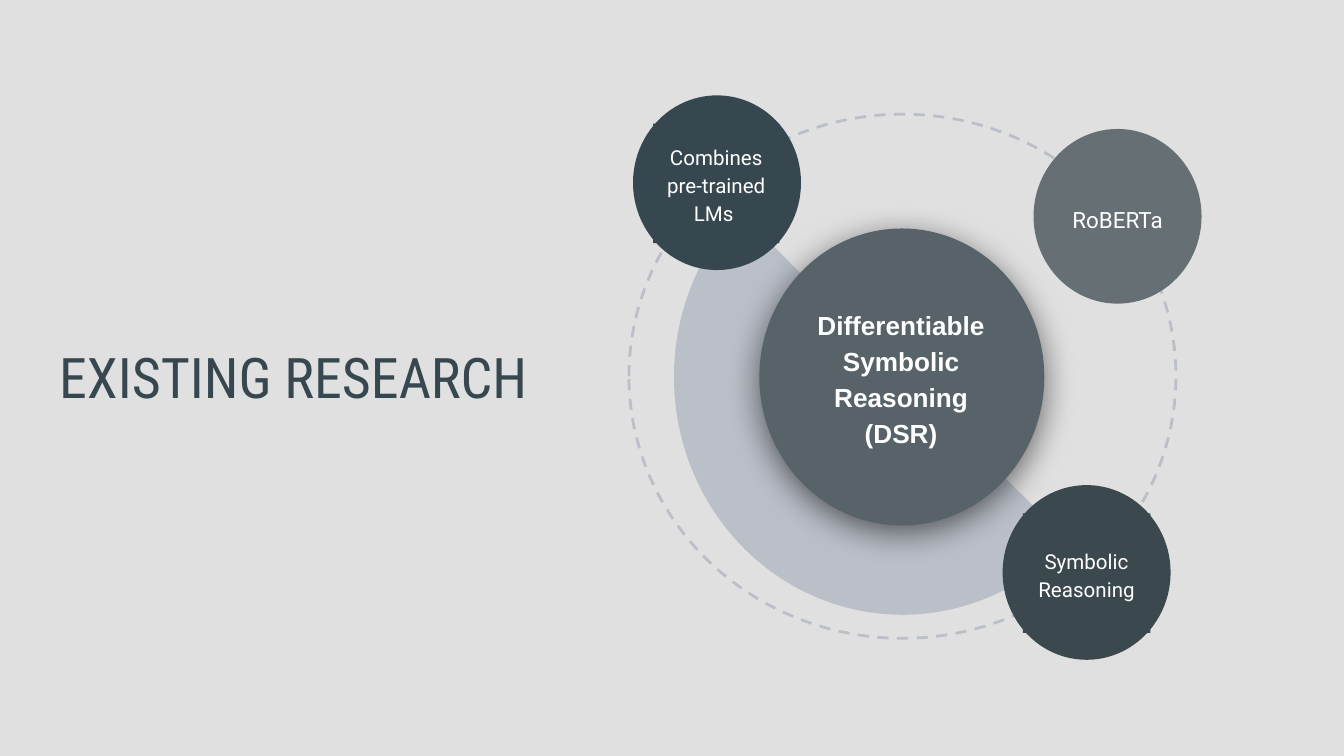
from dataclasses import dataclass

from lxml import etree
from pptx import Presentation
from pptx.dml.color import RGBColor
from pptx.enum.dml import MSO_LINE
from pptx.enum.shapes import MSO_SHAPE as Preset
from pptx.enum.text import MSO_ANCHOR as Anchor, MSO_AUTO_SIZE as AutoSize, PP_ALIGN as Align
from pptx.oxml.ns import qn
from pptx.shapes.autoshape import Shape
from pptx.slide import Slide
from pptx.text.text import TextFrame
from pptx.util import Inches, Pt

BACKGROUND = RGBColor(0xE0, 0xE0, 0xE0)
ORBIT_GREY = RGBColor(0xBA, 0xBF, 0xC8)
CORE_GREY = RGBColor(0x57, 0x63, 0x69)
SLATE = RGBColor(0x37, 0x47, 0x4F)
CHARCOAL = RGBColor(0x3B, 0x48, 0x4E)
STEEL = RGBColor(0x66, 0x6F, 0x73)
WHITE = RGBColor(0xFF, 0xFF, 0xFF)
SLIDE_WIDTH = 10
SLIDE_HEIGHT = SLIDE_WIDTH * 9 / 16
PIE_UNITS_PER_DEGREE = 0.6


@dataclass(frozen=True)
class Box:
    left: float
    top: float
    width: float
    height: float

    def lengths(self) -> tuple[Inches, ...]:
        return tuple(Inches(n) for n in (self.left, self.top, self.width, self.height))


@dataclass(frozen=True)
class Bubble:
    text: str
    circle: Box
    label: Box
    fill: RGBColor
    size: int
    font: str = "Roboto"
    bold: bool = False
    shadow: bool = False


BUBBLES = [
    Bubble("Differentiable Symbolic Reasoning (DSR)", Box(5.65, 1.7, 2.12, 2.21),
           Box(5.92, 2.3, 1.57, 1.01), CORE_GREY, 14, "Arial", bold=True, shadow=True),
    Bubble("Combines pre-trained LMs ", Box(4.71, 0.71, 1.25, 1.3),
           Box(4.86, 0.92, 0.94, 0.89), SLATE, 11),
    Bubble("Symbolic Reasoning", Box(7.46, 3.61, 1.25, 1.3),
           Box(7.61, 3.82, 0.95, 0.89), CHARCOAL, 11),
    Bubble("RoBERTa", Box(7.69, 0.96, 1.25, 1.3),
           Box(7.87, 1.17, 0.89, 0.89), STEEL, 12),
]


def add_plain(slide: Slide, preset: Preset, box: Box, fill: RGBColor | None) -> Shape:
    shape = slide.shapes.add_shape(preset, *box.lengths())
    shape.shadow.inherit = False
    shape.line.fill.background()
    if fill is None:
        shape.fill.background()
    else:
        shape.fill.solid()
        shape.fill.fore_color.rgb = fill
    return shape


def set_outline(shape: Shape, width: float) -> None:
    shape.line.color.rgb = ORBIT_GREY
    shape.line.width = Pt(width)


def add_shadow(shape: Shape) -> None:
    effects = shape.element.spPr.find(qn("a:effectLst"))
    outer = etree.SubElement(
        effects, qn("a:outerShdw"), blurRad=str(Pt(18)), dist=str(Pt(4)),
        dir=str(90 * 60000), algn="bl", rotWithShape="0")
    color = etree.SubElement(outer, qn("a:srgbClr"), val="000000")
    etree.SubElement(color, qn("a:alpha"), val="55000")


def set_text(frame: TextFrame, text: str, font: str, size: int,
             color: RGBColor, align: Align, anchor: Anchor) -> None:
    frame.word_wrap = True
    frame.vertical_anchor = anchor
    frame.margin_left = frame.margin_right = Inches(0.1)
    frame.margin_top = frame.margin_bottom = Inches(0.1)
    frame.text = text
    paragraph = frame.paragraphs[0]
    paragraph.alignment = align
    paragraph.font.name = font
    paragraph.font.size = Pt(size)
    paragraph.font.color.rgb = color


def add_bubble(slide: Slide, bubble: Bubble) -> None:
    circle = add_plain(slide, Preset.OVAL, bubble.circle, bubble.fill)
    if bubble.shadow:
        add_shadow(circle)
    label = add_plain(slide, Preset.RECTANGLE, bubble.label, bubble.fill)
    set_text(label.text_frame, bubble.text, bubble.font, bubble.size,
             WHITE, Align.CENTER, Anchor.MIDDLE)
    paragraph = label.text_frame.paragraphs[0]
    paragraph.line_spacing = 1.15
    paragraph.font.bold = bubble.bold


def add_orbit(slide: Slide) -> None:
    orbit = add_plain(slide, Preset.OVAL, Box(4.68, 0.85, 4.07, 3.9), None)
    set_outline(orbit, 1.5)
    orbit.line.dash_style = MSO_LINE.DASH
    sector = add_plain(slide, Preset.PIE, Box(5.02, 1.04, 3.39, 3.53), ORBIT_GREY)
    set_outline(sector, 0.75)
    for index, degrees in enumerate((44.83, 225.18)):
        sector.adjustments[index] = degrees * PIE_UNITS_PER_DEGREE


def add_title(slide: Slide) -> None:
    title = slide.shapes.title
    title.left, title.top, title.width, title.height = Box(0.34, 2.45, 4.66, 0.71).lengths()
    set_text(title.text_frame, "EXISTING RESEARCH", "Roboto Condensed", 30,
             SLATE, Align.LEFT, Anchor.TOP)
    title.text_frame.auto_size = AutoSize.SHAPE_TO_FIT_TEXT


def main() -> None:
    presentation = Presentation()
    presentation.slide_width = Inches(SLIDE_WIDTH)
    presentation.slide_height = Inches(SLIDE_HEIGHT)
    slide = presentation.slides.add_slide(presentation.slide_layouts[5])
    slide.background.fill.solid()
    slide.background.fill.fore_color.rgb = BACKGROUND
    add_title(slide)
    add_orbit(slide)
    for bubble in BUBBLES:
        add_bubble(slide, bubble)
    presentation.save("out.pptx")


if __name__ == "__main__":
    main()
